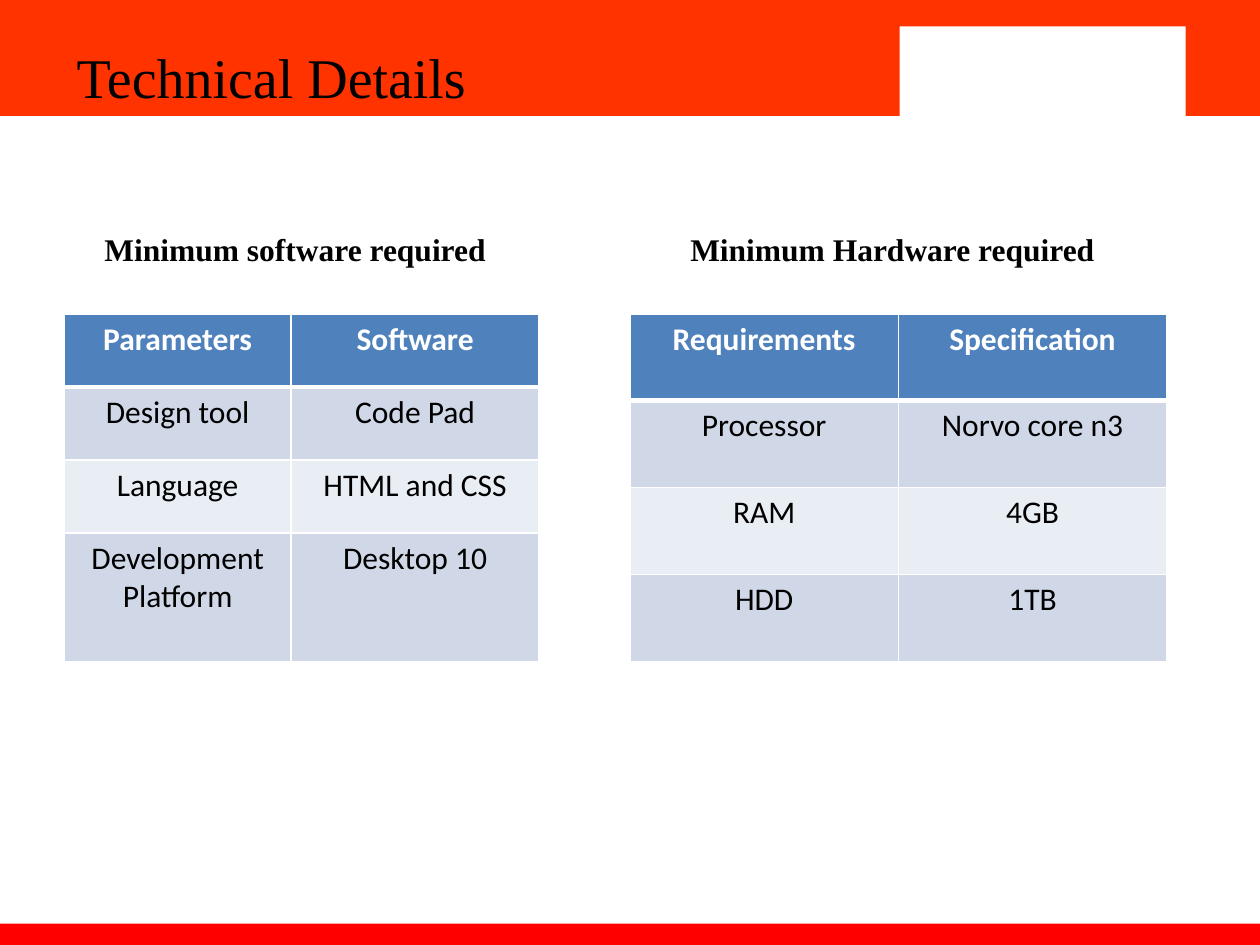
from dataclasses import dataclass

from lxml import etree
from pptx import Presentation
from pptx.dml.color import RGBColor
from pptx.enum.shapes import MSO_SHAPE
from pptx.enum.text import PP_ALIGN
from pptx.oxml.ns import qn
from pptx.util import Inches, Pt

RECT = MSO_SHAPE.RECTANGLE
CENTER = PP_ALIGN.CENTER


@dataclass(frozen=True)
class Theme:
    band: str = "FF3300"
    foot: str = "FF0000"
    white: str = "FFFFFF"
    ink: str = "000000"
    head: str = "4F81BD"
    rows: tuple = ("D0D8E8", "E9EDF4")
    serif: str = "Times New Roman"
    sans: str = "Calibri"
    title: int = 32
    body: int = 18


class Deck:
    def __init__(self, theme):
        self.theme = theme
        self.prs = Presentation()
        self.prs.slide_width = Inches(10)
        self.prs.slide_height = Inches(7.5)
        self.slide = self.prs.slides.add_slide(self.prs.slide_layouts[6])

    def style(self, para, face, size, color, bold=False):
        for run in para.runs:
            font = run.font
            font.name, font.size, font.bold = face, Pt(size), bold
            font.color.rgb = RGBColor.from_string(color)

    def bar(self, box, color):
        shape = self.slide.shapes.add_shape(RECT, *map(Inches, box))
        shape.shadow.inherit = False
        shape.fill.solid()
        shape.fill.fore_color.rgb = RGBColor.from_string(color)
        shape.line.fill.background()

    def text(self, box, words, size, bold=False, tabs=()):
        frame = self.slide.shapes.add_textbox(*map(Inches, box)).text_frame
        frame.word_wrap = True
        frame.text = words
        para = frame.paragraphs[0]
        if tabs:
            stops = etree.SubElement(para._p.get_or_add_pPr(), qn("a:tabLst"))
            for stop in tabs:
                etree.SubElement(stops, qn("a:tab"), pos=str(Inches(stop)), algn="l")
        self.style(para, self.theme.serif, size, self.theme.ink, bold)

    def edge(self, cell, side, width):
        line = etree.Element(qn("a:ln" + side), w=str(Pt(width)))
        fill = etree.SubElement(line, qn("a:solidFill"))
        etree.SubElement(fill, qn("a:srgbClr"), val=self.theme.white)
        return line

    def cell(self, cell, words, row):
        theme = self.theme
        top = row == 0
        cell.fill.solid()
        color = theme.head if top else theme.rows[(row - 1) % 2]
        cell.fill.fore_color.rgb = RGBColor.from_string(color)
        # Borders come before the fill; the header rule is thicker
        props = cell._tc.get_or_add_tcPr()
        for spot, side in enumerate("LRTB"):
            thick = (top and side == "B") or (row == 1 and side == "T")
            props.insert(spot, self.edge(cell, side, 3 if thick else 1))
        cell.text_frame.text = words
        para = cell.text_frame.paragraphs[0]
        para.alignment = CENTER
        self.style(para, theme.sans, theme.body, theme.white if top else theme.ink, top)

    def table(self, left, top, widths, heights, data):
        table = self.slide.shapes.add_table(
            len(heights), len(widths), Inches(left), Inches(top),
            Inches(sum(widths)), Inches(sum(heights))).table
        for col, width in zip(table.columns, widths):
            col.width = Inches(width)
        for row, height in zip(table.rows, heights):
            row.height = Inches(height)
        for r, line in enumerate(data):
            for c, words in enumerate(line):
                self.cell(table.cell(r, c), words, r)


def main():
    theme = Theme()
    deck = Deck(theme)

    # Header band with white panel, and footer
    deck.bar((0, 0, 10, 0.92), theme.band)
    deck.bar((0, 7.33, 10, 0.17), theme.foot)
    deck.bar((6.72, 0, 3.28, 0.92), theme.band)
    deck.bar((7.14, 0.21, 2.27, 0.75), theme.white)

    # Title
    deck.text((0.51, 0.29, 5.91, 0.64), "Technical Details", theme.title)

    # Software and hardware tables
    deck.table(0.51, 2.49, (1.8, 1.97), (0.58, 0.58, 0.58, 1.02), (
        ("Parameters", "Software"),
        ("Design tool", "Code Pad"),
        ("Language", "HTML and CSS"),
        ("Development Platform", "Desktop 10"),
    ))
    deck.table(5, 2.49, (2.13,) * 2, (0.69,) * 4, (
        ("Requirements", "Specification"),
        ("Processor", "Norvo core n3"),
        ("RAM", "4GB"),
        ("HDD", "1TB"),
    ))

    # Table headings, set on two tab stops
    deck.text((0.48, 1.78, 9.21, 0.4),
              "\tMinimum software required\tMinimum Hardware required",
              theme.body, True, (0.25, 4.9))

    deck.prs.save("out.pptx")


if __name__ == "__main__":
    main()
